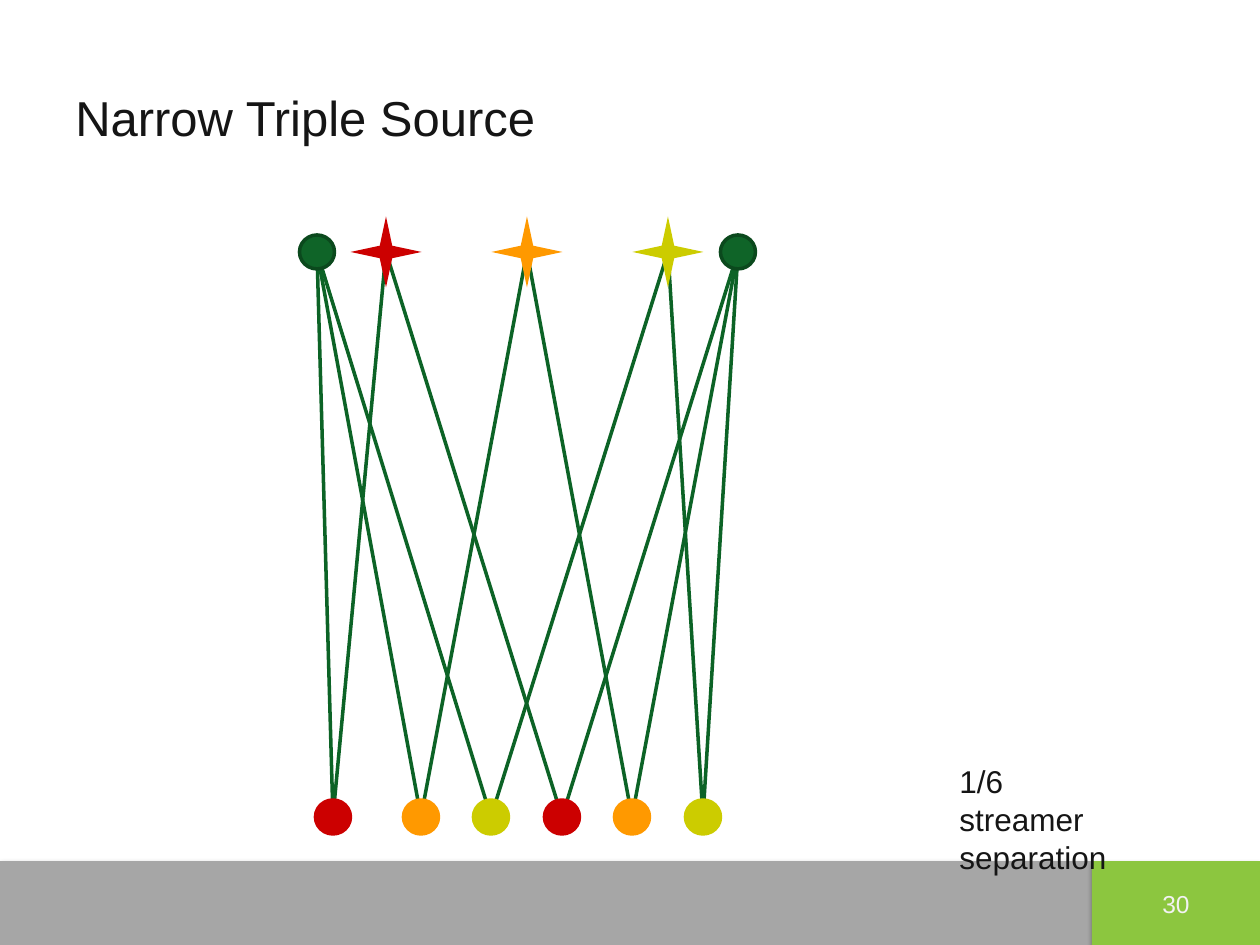
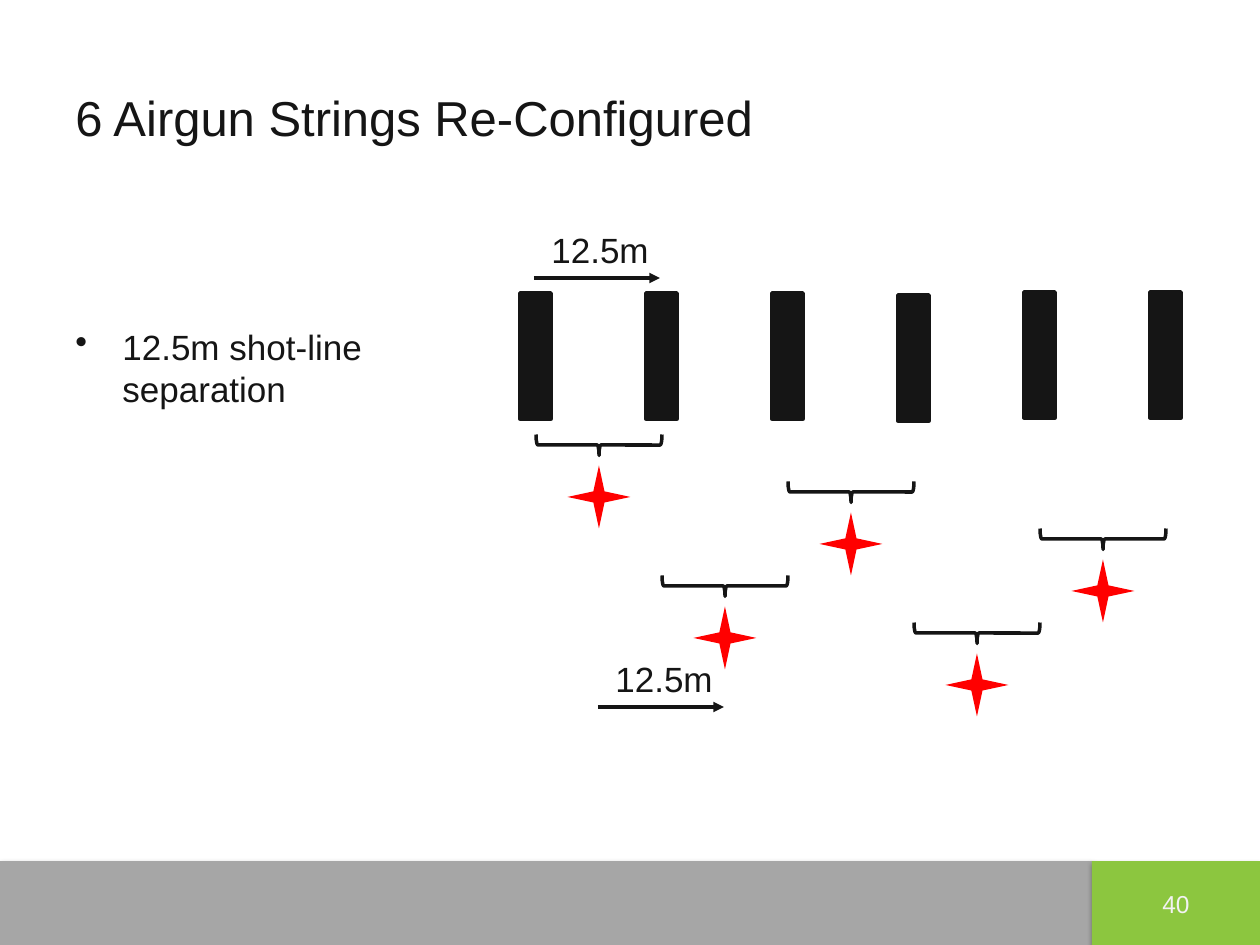
from dataclasses import dataclass

from lxml import etree
from pptx import Presentation
from pptx.dml.color import RGBColor
from pptx.enum.shapes import MSO_CONNECTOR, MSO_SHAPE
from pptx.enum.text import MSO_ANCHOR, PP_ALIGN
from pptx.oxml.ns import qn
from pptx.util import Emu, Pt

RECT, OVAL = MSO_SHAPE.RECTANGLE, MSO_SHAPE.OVAL
STAR, BRACE = MSO_SHAPE.STAR_4_POINT, MSO_SHAPE.RIGHT_BRACE
STRAIGHT = MSO_CONNECTOR.STRAIGHT
TOP, MIDDLE = MSO_ANCHOR.TOP, MSO_ANCHOR.MIDDLE
LEFT, CENTER = PP_ALIGN.LEFT, PP_ALIGN.CENTER


@dataclass(frozen=True)
class Theme:
    font: str = "Arial"
    ink: str = "151515"
    band: str = "A6A6A6"
    accent: str = "8CC63F"
    number: str = "F2F2F2"
    ray: str = "0C6326"
    streamer: str = "0F6428"
    streamer_edge: str = "0B491D"
    airgun: str = "FF0000"
    title_size: int = 28
    body_size: int = 20
    note_size: int = 18
    number_size: int = 14
    line_width: int = 2


THEME = Theme()
EMU_PER_PX = 914400 / 126
PAGE_WIDTH, PAGE_HEIGHT = 1260, 945
BAND_TOP, BAND_SPLIT = 861, 1092

TRIPLE_SOURCE = {
    "title": "Narrow Triple Source",
    "number": "30",
    "note": ["1/6 streamer", "separation"],
    "streamers": [317, 738],
    "sources": [(386, "CC0000"), (527, "FF9900"), (668, "CCCC00")],
    "reflections": [333, 421, 491, 562, 632, 703],
    "surface": 252,
    "seabed": 817,
}
AIRGUNS = {
    "title": "6 Airgun Strings Re-Configured",
    "number": "40",
    "bullet": "12.5m shot-line\vseparation",
    "spacing": "12.5m",
    "pitch": 126,
    "string_left": 520,
    "string_tops": [293, 293, 293, 295, 292, 292],
    "pair_order": [0, 2, 4, 1, 3],
    "first_pair": (599, 497),
    "pair_drop": 47,
    "spacing_arrows": [(534, 278), (598, 707)],
}


def px(value):
    return Emu(round(value * EMU_PER_PX))


def rgb(value):
    return RGBColor.from_string(value)


def add_text(page, area, lines, *, size, color=THEME.ink, align=LEFT, anchor=TOP,
             bullet_indent=0):
    box = page.shapes.add_textbox(*map(px, area))
    frame = box.text_frame
    frame.word_wrap = True
    frame.vertical_anchor = anchor
    for index, line in enumerate(lines):
        para = frame.paragraphs[0] if index == 0 else frame.add_paragraph()
        para.text = line
        para.alignment = align
        if bullet_indent:
            properties = para._p.get_or_add_pPr()
            properties.set("marL", str(px(bullet_indent)))
            properties.set("indent", str(-px(bullet_indent)))
            etree.SubElement(properties, qn("a:buChar")).set("char", "•")
        para.font.size = Pt(size)
        for span in para.runs:
            span.font.name = THEME.font
            span.font.size = Pt(size)
            span.font.color.rgb = rgb(color)


def add_shape(page, kind, area, *, fill=None, line=None):
    shape = page.shapes.add_shape(kind, *map(px, area))
    shape.shadow.inherit = False
    if fill:
        shape.fill.solid()
        shape.fill.fore_color.rgb = rgb(fill)
    else:
        shape.fill.background()
    if line:
        shape.line.color.rgb = rgb(line)
        shape.line.width = Pt(THEME.line_width)
    else:
        shape.line.fill.background()
    return shape


def add_centred(page, kind, x, y, width, height, **style):
    area = (x - width / 2, y - height / 2, width, height)
    return add_shape(page, kind, area, **style)


def add_star(page, x, y, size, color):
    star = add_centred(page, STAR, x, y, size, size, fill=color)
    star.adjustments[0] = 0.125


def add_line(page, start, end, color, arrow=False):
    line = page.shapes.add_connector(STRAIGHT, *map(px, (*start, *end)))
    line.line.color.rgb = rgb(color)
    line.line.width = Pt(THEME.line_width)
    if arrow:
        outline = line.line._get_or_add_ln()
        etree.SubElement(outline, qn("a:tailEnd")).set("type", "triangle")
    etree.SubElement(line._element.spPr, qn("a:effectLst"))


def add_band(page, left, right, color):
    area = (left, BAND_TOP, right - left, PAGE_HEIGHT - BAND_TOP)
    band = add_shape(page, RECT, area, fill=color)
    effects = band._element.spPr.find(qn("a:effectLst"))
    shadow = etree.SubElement(effects, qn("a:outerShdw"), blurRad=str(Pt(3.1)),
                              dist=str(Pt(1.8)), dir="5400000", rotWithShape="0")
    tint = etree.SubElement(shadow, qn("a:srgbClr"), val="000000")
    etree.SubElement(tint, qn("a:alpha"), val="35000")


def add_page(deck, content):
    page = deck.slides.add_slide(deck.slide_layouts[6])
    add_band(page, 0, BAND_SPLIT, THEME.band)
    add_band(page, BAND_SPLIT, PAGE_WIDTH, THEME.accent)
    add_text(page, (1142, 883, 68, 42), [content["number"]],
             size=THEME.number_size, color=THEME.number, align=CENTER)
    add_text(page, (63, 38, 1134, 158), [content["title"]],
             size=THEME.title_size, anchor=MIDDLE)
    return page


def build_triple_source(deck, content):
    page = add_page(deck, content)
    surface, seabed = content["surface"], content["seabed"]
    sources, reflections = content["sources"], content["reflections"]
    for index, reflection in enumerate(reflections):
        streamer = content["streamers"][index // len(sources)]
        source, _ = sources[index % len(sources)]
        for x in (streamer, source):
            add_line(page, (x, surface), (reflection, seabed), THEME.ray)
    for x in content["streamers"]:
        add_centred(page, OVAL, x, surface, 35, 34,
                    fill=THEME.streamer, line=THEME.streamer_edge)
    for x, color in sources:
        add_star(page, x, surface, 71, color)
    for index, x in enumerate(reflections):
        _, color = sources[index % len(sources)]
        add_centred(page, OVAL, x, seabed, 35, 34, fill=color, line=color)
    add_text(page, (947, 756, 200, 88), content["note"], size=THEME.note_size)


def build_airguns(deck, content):
    page = add_page(deck, content)
    pitch = content["pitch"]
    add_text(page, (63, 319, 400, 100), [content["bullet"]],
             size=THEME.body_size, bullet_indent=47)
    for index, top in enumerate(content["string_tops"]):
        left = content["string_left"] + index * pitch
        add_shape(page, RECT, (left, top, 31, 126), fill=THEME.ink, line=THEME.ink)
    first_x, first_y = content["first_pair"]
    for row, column in enumerate(content["pair_order"]):
        x, y = first_x + column * pitch, first_y + row * content["pair_drop"]
        brace = add_centred(page, BRACE, x, y - 52, 21, pitch, line=THEME.ink)
        brace.rotation = 90
        add_star(page, x, y, 63, THEME.airgun)
    for x, y in content["spacing_arrows"]:
        add_text(page, (x + 5, y - 56, 140, 54), [content["spacing"]],
                 size=THEME.body_size)
        add_line(page, (x, y), (x + pitch, y), THEME.ink, arrow=True)


def main():
    deck = Presentation()
    deck.slide_width, deck.slide_height = px(PAGE_WIDTH), px(PAGE_HEIGHT)
    build_triple_source(deck, TRIPLE_SOURCE)
    build_airguns(deck, AIRGUNS)
    deck.save("out.pptx")


if __name__ == "__main__":
    main()
